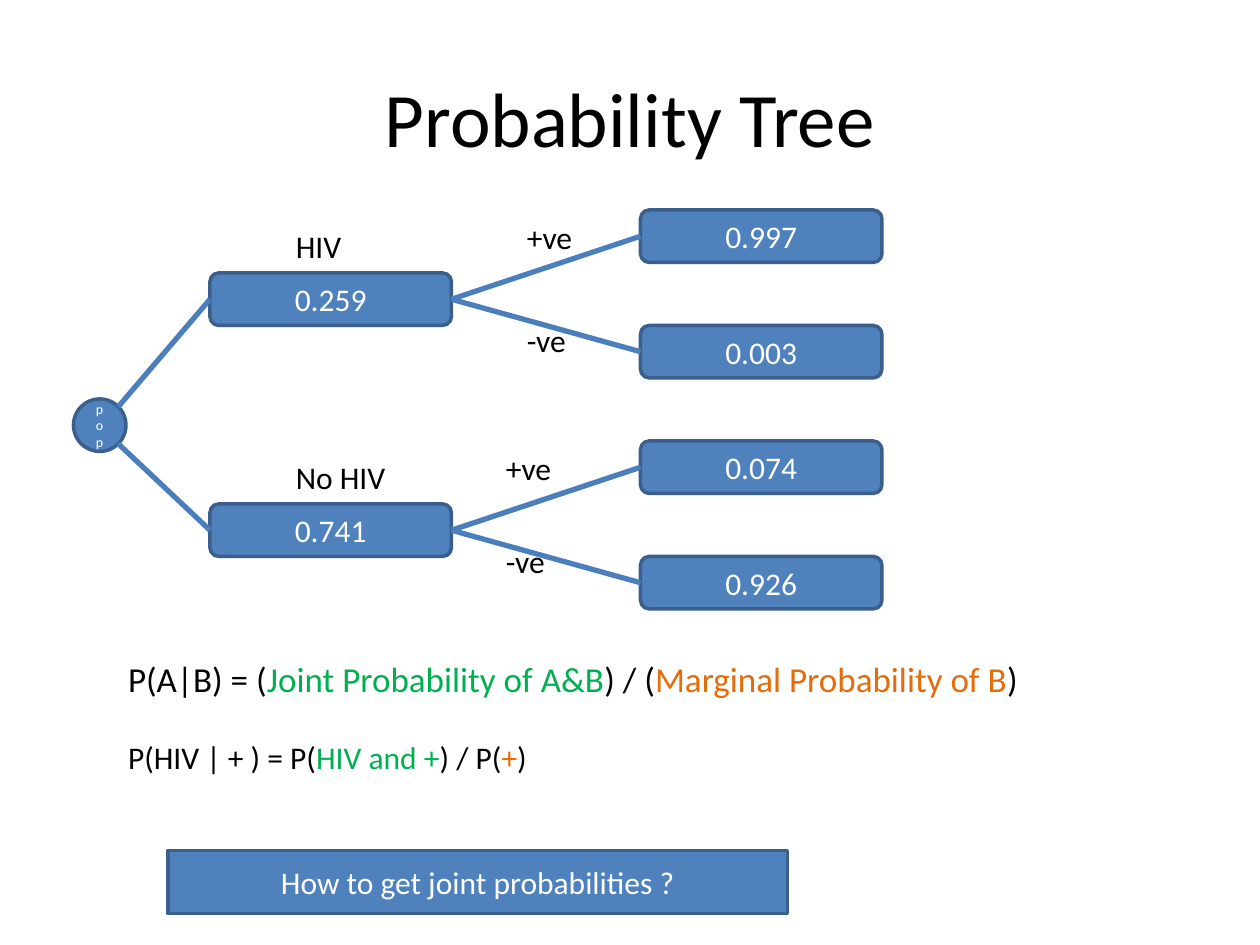
from pptx import Presentation
from pptx.util import Pt
from pptx.dml.color import RGBColor
from pptx.enum.shapes import MSO_CONNECTOR, MSO_SHAPE
from pptx.enum.text import MSO_ANCHOR, MSO_AUTO_SIZE, PP_ALIGN
from lxml import etree

STRAIGHT = MSO_CONNECTOR.STRAIGHT
ROUNDED, RECT, OVAL = MSO_SHAPE.ROUNDED_RECTANGLE, MSO_SHAPE.RECTANGLE, MSO_SHAPE.OVAL
MIDDLE, CENTER, LEFT = MSO_ANCHOR.MIDDLE, PP_ALIGN.CENTER, PP_ALIGN.LEFT
FIT = MSO_AUTO_SIZE.SHAPE_TO_FIT_TEXT
LEFT_SIDE, RIGHT_SIDE = 1, 3

FONT = "Calibri"
BLACK, WHITE, GREEN, ORANGE = "000000", "FFFFFF", "00B050", "E46C0A"
FILL, BORDER, BRANCH = "4F81BD", "3A5F8C", "4B7EBC"

TITLE = "Probability Tree"
QUESTION = "How to get joint probabilities ?"
# status, label width, probability, test label left, [(result, label width, label offset, probability)]
TREE = [
    ("HIV", 41, "0.259", 294, [("+ve", 41, 1, "0.997"), ("-ve", 37, -6, "0.003")]),
    ("No HIV", 66, "0.741", 282, [("+ve", 41, 1, "0.074"), ("-ve", 37, -12, "0.926")]),
]
FORMULAS = [
    (20, [("P(A|B) = (", BLACK), ("Joint Probability of A&B", GREEN), (") / (", BLACK),
          ("Marginal Probability of B", ORANGE), (")", BLACK)]),
    (18, [("P(HIV | + ) = P(", BLACK), ("HIV and +", GREEN), (") / P(", BLACK),
          ("+", ORANGE), (")", BLACK)]),
]

NODE_W, NODE_H = 138, 30
STATUS_X, RESULT_X = 120, 366
TOP, STEP = 120, 66
STATUS_DROP = 36
ROOT_X, ROOT_Y = 42, 228
ROOT_EDGE_X = 67.6
ROOT_EDGES = (232.4, 253.6)


def rgb(value):
    return RGBColor.from_string(value)


def add_run(p, text, size, color):
    r = p.add_run()
    r.text = text
    r.font.name = FONT
    r.font.size = Pt(size)
    r.font.color.rgb = rgb(color)


def add_text(s, x, y, w, h, text, size, align=LEFT, wrap=False):
    tf = s.shapes.add_textbox(Pt(x), Pt(y), Pt(w), Pt(h)).text_frame
    tf.word_wrap = wrap
    tf.paragraphs[0].alignment = align
    add_run(tf.paragraphs[0], text, size, BLACK)
    return tf


def add_node(s, kind, x, y, w, h, text, size=18):
    sp = s.shapes.add_shape(kind, Pt(x), Pt(y), Pt(w), Pt(h))
    sp.shadow.inherit = False
    sp.fill.solid()
    sp.fill.fore_color.rgb = rgb(FILL)
    sp.line.color.rgb = rgb(BORDER)
    sp.line.width = Pt(2)
    tf = sp.text_frame
    tf.word_wrap = True
    tf.vertical_anchor = MIDDLE
    tf.paragraphs[0].alignment = CENTER
    add_run(tf.paragraphs[0], text, size, WHITE)
    return sp


def add_branch(s, x, y, target, source=None):
    line = s.shapes.add_connector(STRAIGHT, Pt(x), Pt(y), target.left, target.top)
    if source is not None:
        line.begin_connect(source, RIGHT_SIDE)
    line.end_connect(target, LEFT_SIDE)
    line.line.color.rgb = rgb(BRANCH)
    line.line.width = Pt(3)
    sp_pr = line._element.spPr
    etree.SubElement(sp_pr, sp_pr.tag.replace("}spPr", "}effectLst").replace(
        "presentationml", "drawingml").replace("/2006/drawingml", "/2006/main").replace(
        "drawingml/2006/main/main", "drawingml/2006/main"))


def add_tree(s):
    add_node(s, OVAL, ROOT_X, ROOT_Y, NODE_H, NODE_H, "pop", 8)
    for i, (status, width, prob, label_x, results) in enumerate(TREE):
        top = TOP + i * len(results) * STEP
        y = top + STATUS_DROP
        node = add_node(s, ROUNDED, STATUS_X, y, NODE_W, NODE_H, prob)
        add_text(s, STATUS_X + 42, y - 30, width, 29, status, 18).auto_size = FIT
        add_branch(s, ROOT_EDGE_X, ROOT_EDGES[i], node)
        for j, (result, result_w, offset, result_prob) in enumerate(results):
            leaf_y = top + j * STEP
            leaf = add_node(s, ROUNDED, RESULT_X, leaf_y, NODE_W, NODE_H, result_prob)
            add_branch(s, STATUS_X + NODE_W, y + NODE_H / 2, leaf, node)
            add_text(s, label_x, leaf_y + offset, result_w, 29, result, 18).auto_size = FIT


def add_formulas(s):
    tf = s.shapes.add_textbox(Pt(30), Pt(372), Pt(582), Pt(97)).text_frame
    tf.word_wrap = True
    tf.margin_left = Pt(43.2)
    for i, (size, runs) in enumerate(FORMULAS):
        p = tf.add_paragraph() if i else tf.paragraphs[0]
        if i:
            p.space_before = Pt(22)
        for text, color in runs:
            add_run(p, text, size, color)


def main():
    prs = Presentation()
    prs.slide_width, prs.slide_height = Pt(720), Pt(540)
    s = prs.slides.add_slide(prs.slide_layouts[6])
    add_text(s, 36, 21.6, 648, 90, TITLE, 44, CENTER, True).vertical_anchor = MIDDLE
    add_tree(s)
    add_formulas(s)
    add_node(s, RECT, 96, 486, 354, 36, QUESTION)
    prs.save("out.pptx")


if __name__ == "__main__":
    main()
